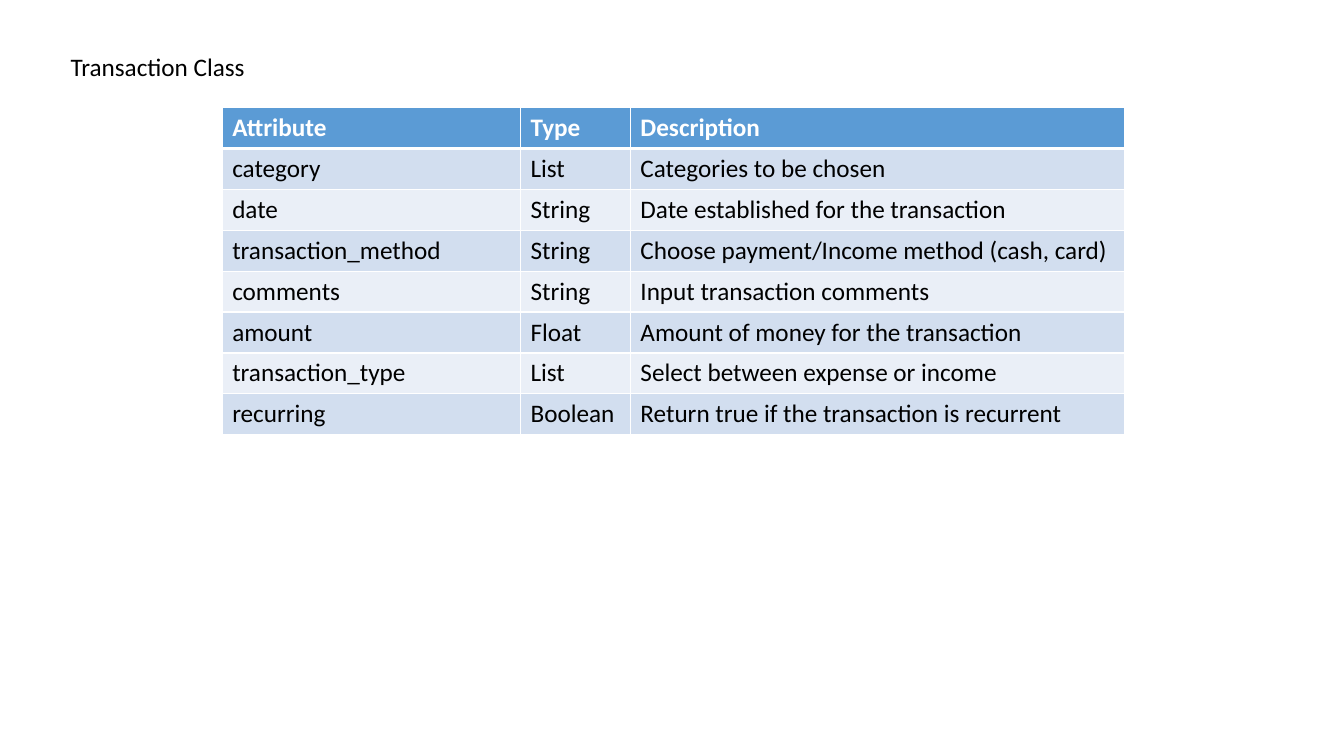
from lxml.etree import SubElement as Sub
from pptx import Presentation
from pptx.dml.color import RGBColor as RGB
from pptx.enum.text import MSO_ANCHOR as Anchor, MSO_AUTO_SIZE as Auto, PP_ALIGN as Align
from pptx.oxml.ns import qn
from pptx.util import Pt

WHITE, BLACK, BLUE = "FFFFFF", "000000", "5B9BD5"
BANDS = ("D2DEEF", "EAEFF7")
WIDTHS = (213.1, 78.5, 352.8)
ROW = 29.2
ROWS = (
    ("Attribute", "Type", "Description"),
    ("category", "List", "Categories to be chosen"),
    ("date", "String", "Date established for the transaction"),
    ("transaction_method", "String", "Choose payment/Income method (cash, card)"),
    ("comments", "String", "Input transaction comments"),
    ("amount", "Float", "Amount of money for the transaction"),
    ("transaction_type", "List", "Select between expense or income"),
    ("recurring", "Boolean", "Return true if the transaction is recurrent"),
)


def color(code):
    return RGB.from_string(code)


def write(frame, text, size=18, font="Calibri", ink=BLACK, bold=False):
    para = frame.paragraphs[0]
    para.alignment = Align.LEFT
    run = para.add_run()
    run.text = text
    run.font.name = font
    run.font.size = Pt(size)
    run.font.bold = bold
    run.font.color.rgb = color(ink)


def border(cell, top=1, bottom=1):
    props = cell._tc.get_or_add_tcPr()
    for side, width in (("L", 1), ("R", 1), ("T", top), ("B", bottom)):
        line = Sub(props, qn(f"a:ln{side}"), w=str(Pt(width)))
        Sub(Sub(line, qn("a:solidFill")), qn("a:srgbClr"), val=WHITE)


def add_title(slide, text, left, top, width, height):
    title = slide.shapes.title
    title.left, title.top = Pt(left), Pt(top)
    title.width, title.height = Pt(width), Pt(height)
    frame = title.text_frame
    frame.word_wrap = False
    frame.auto_size = Auto.SHAPE_TO_FIT_TEXT
    frame.vertical_anchor = Anchor.TOP
    write(frame, text)


def add_grid(slide, rows, left, top):
    table = slide.shapes.add_table(
        len(rows), len(WIDTHS), Pt(left), Pt(top),
        Pt(sum(WIDTHS)), Pt(ROW * len(rows))).table
    for col, width in zip(table.columns, WIDTHS):
        col.width = Pt(width)
    for r, texts in enumerate(rows):
        head = r == 0
        for c, text in enumerate(texts):
            cell = table.cell(r, c)
            # Borders must come before the fill in the cell's XML
            border(cell, top=3 if r == 1 else 1, bottom=3 if head else 1)
            cell.fill.solid()
            cell.fill.fore_color.rgb = color(BLUE if head else BANDS[(r - 1) % 2])
            write(cell.text_frame, text, ink=WHITE if head else BLACK, bold=head)


def main():
    deck = Presentation()
    deck.slide_width, deck.slide_height = Pt(960), Pt(540)
    slide = deck.slides.add_slide(deck.slide_layouts[5])
    # Heading
    add_title(slide, "Transaction Class", 43.2, 33.1, 149, 29)
    # Attribute table
    add_grid(slide, ROWS, 158.7, 76.9)
    deck.save("out.pptx")


if __name__ == "__main__":
    main()
